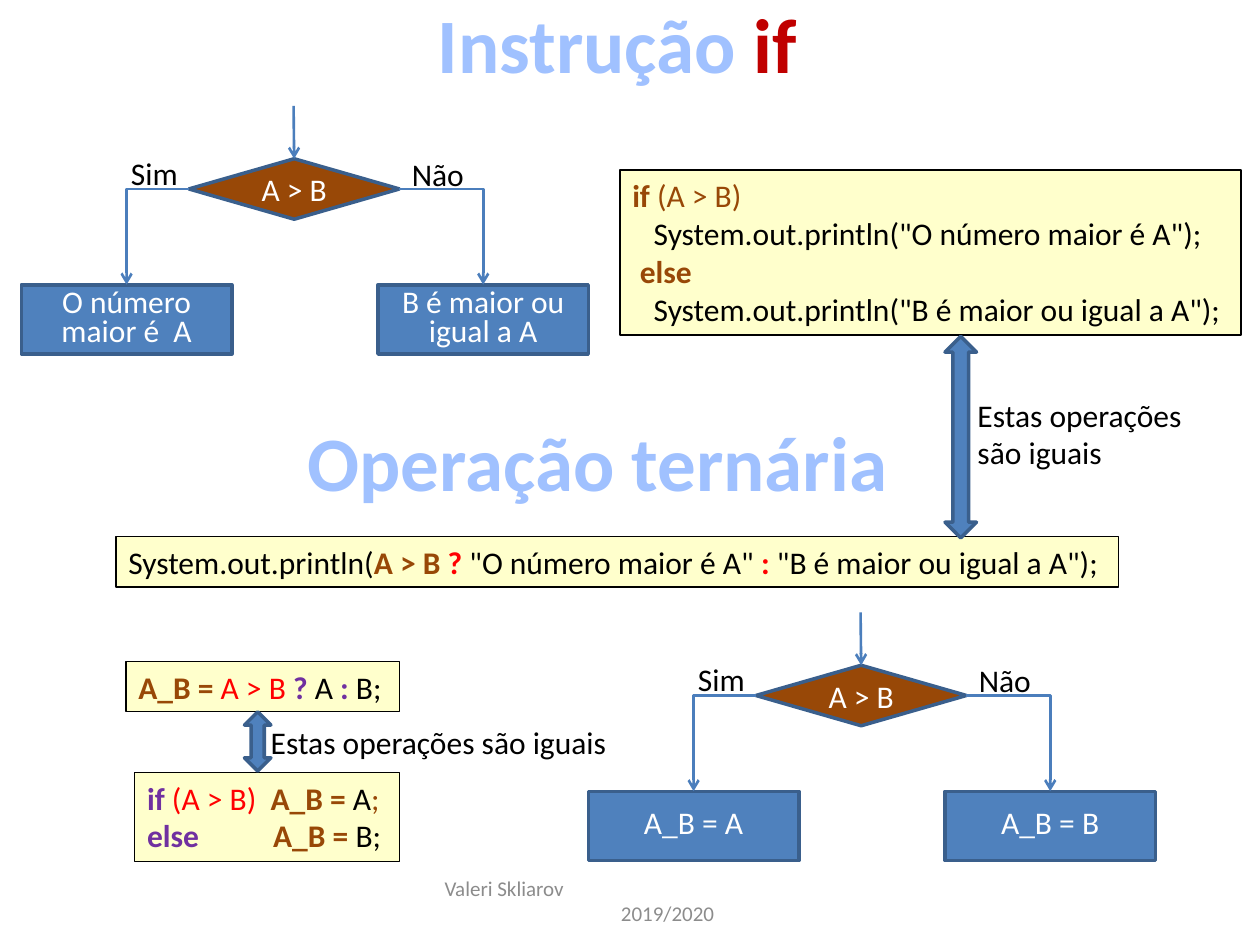
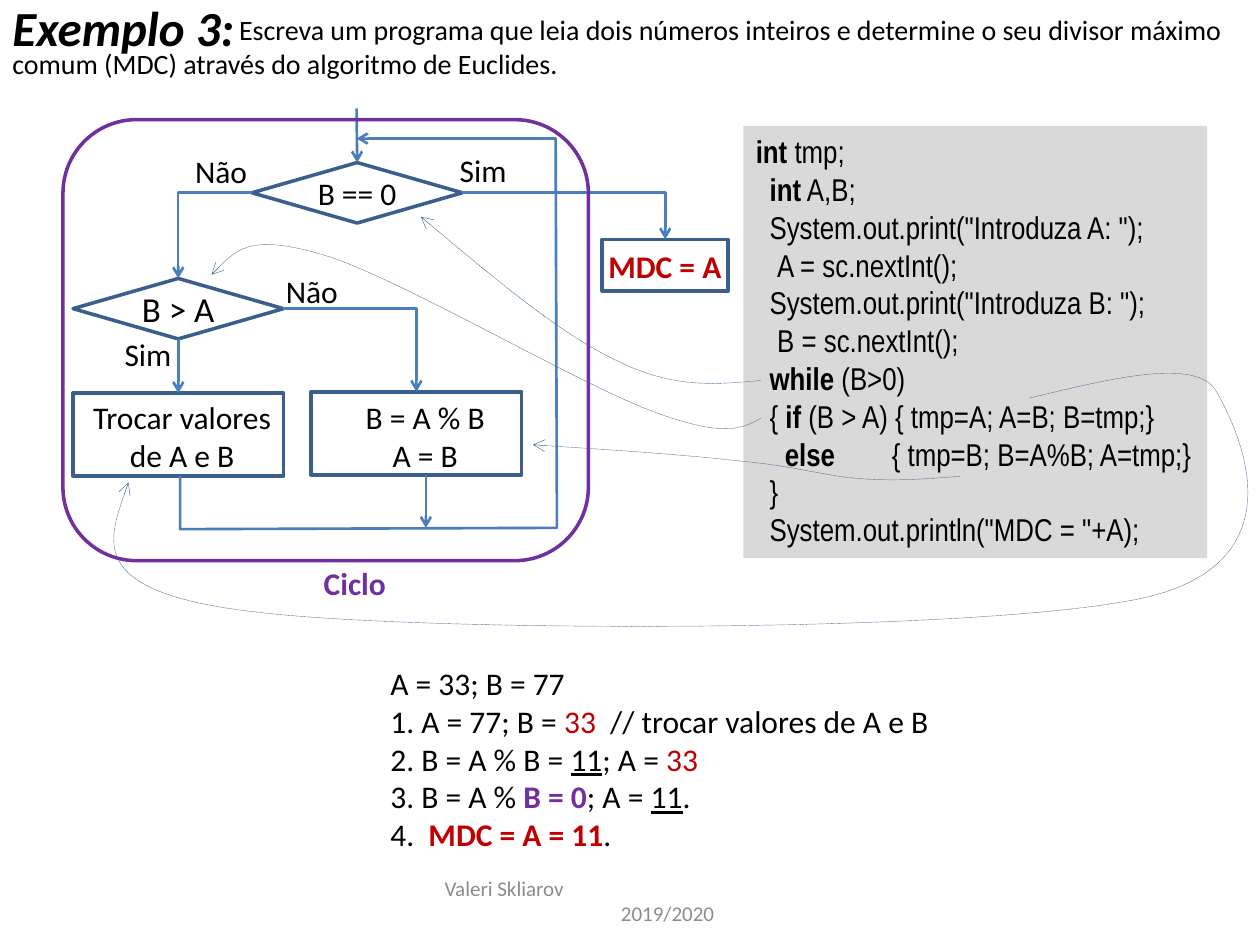
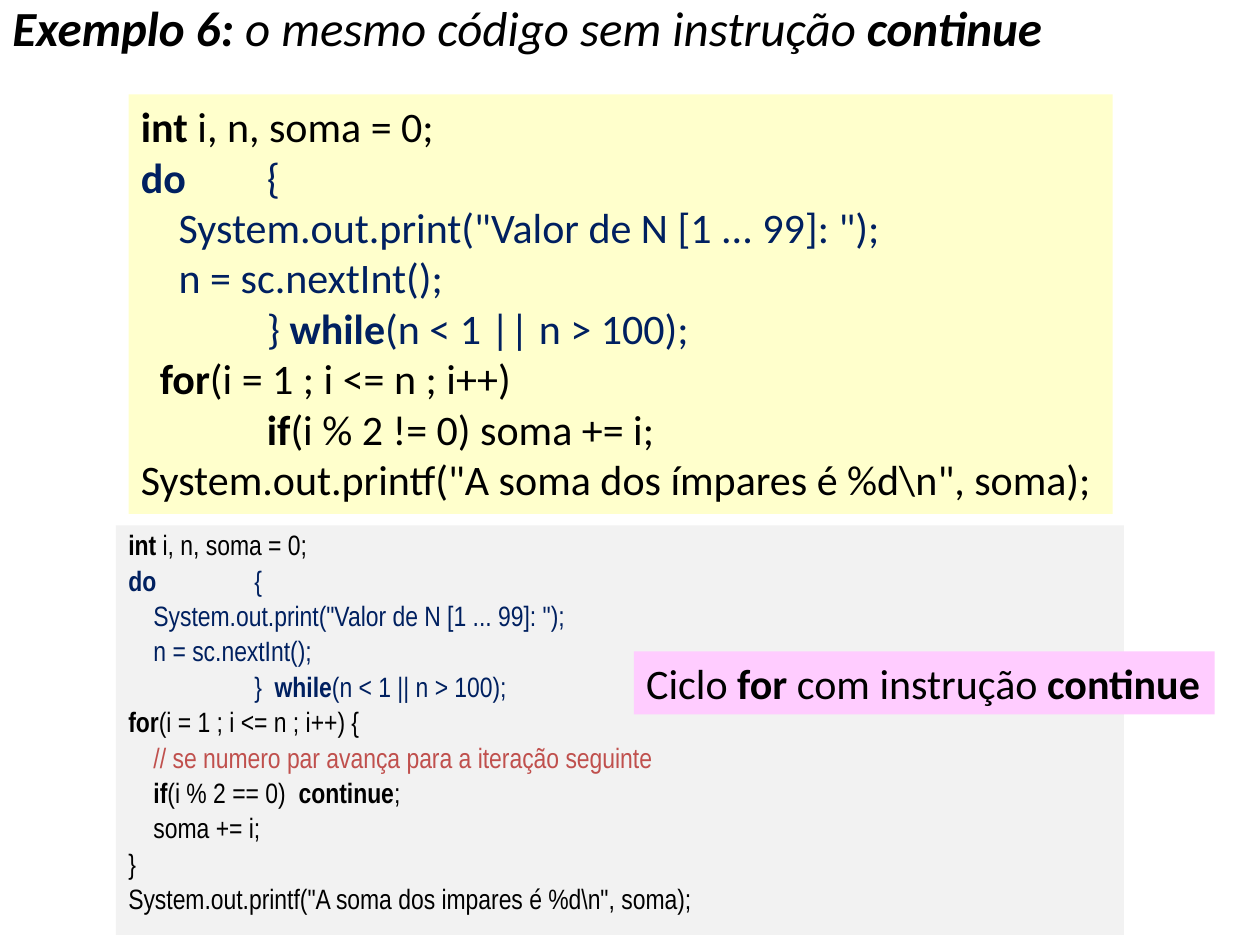
from dataclasses import dataclass, replace
from typing import Optional, Sequence

from lxml import etree
from pptx import Presentation
from pptx.dml.color import RGBColor
from pptx.enum.dml import MSO_LINE
from pptx.enum.shapes import MSO_CONNECTOR, MSO_SHAPE
from pptx.enum.text import MSO_ANCHOR, MSO_AUTO_SIZE, PP_ALIGN
from pptx.oxml.ns import qn
from pptx.util import Inches, Pt

RECTANGLE = MSO_SHAPE.RECTANGLE
ROUNDED = MSO_SHAPE.ROUNDED_RECTANGLE
DECISION = MSO_SHAPE.FLOWCHART_DECISION
DOUBLE_ARROW = MSO_SHAPE.UP_DOWN_ARROW
STRAIGHT = MSO_CONNECTOR.STRAIGHT
ELBOW = MSO_CONNECTOR.ELBOW
DOTTED = MSO_LINE.ROUND_DOT
LEFT, CENTER = PP_ALIGN.LEFT, PP_ALIGN.CENTER
TOP, MIDDLE = MSO_ANCHOR.TOP, MSO_ANCHOR.MIDDLE
TOP_SIDE, LEFT_SIDE, BOTTOM_SIDE, RIGHT_SIDE = range(4)


@dataclass(frozen=True)
class Theme:
    font: str = "Calibri"
    code_font: str = "Arial Narrow"
    black: RGBColor = RGBColor(0x00, 0x00, 0x00)
    white: RGBColor = RGBColor(0xFF, 0xFF, 0xFF)
    title: RGBColor = RGBColor(0xA0, 0xC1, 0xFF)
    footer: RGBColor = RGBColor(0x8C, 0x8C, 0x8C)
    brown: RGBColor = RGBColor(0x98, 0x48, 0x07)
    dark_red: RGBColor = RGBColor(0xC0, 0x00, 0x00)
    red: RGBColor = RGBColor(0xFF, 0x00, 0x00)
    purple: RGBColor = RGBColor(0x70, 0x30, 0xA0)
    navy: RGBColor = RGBColor(0x00, 0x20, 0x60)
    comment: RGBColor = RGBColor(0xC0, 0x50, 0x4D)
    blue: RGBColor = RGBColor(0x4F, 0x81, 0xBD)
    outline: RGBColor = RGBColor(0x3A, 0x5F, 0x8C)
    arrow: RGBColor = RGBColor(0x4B, 0x7E, 0xBC)
    yellow: RGBColor = RGBColor(0xFF, 0xFF, 0xCC)
    gray: RGBColor = RGBColor(0xD9, 0xD9, 0xD9)
    light_gray: RGBColor = RGBColor(0xF2, 0xF2, 0xF2)
    pink: RGBColor = RGBColor(0xFF, 0xCC, 0xFF)
    title_size: float = 44
    heading_size: float = 28
    large_size: float = 24
    decision_size: float = 20
    body_size: float = 18
    small_size: float = 16
    footer_size: float = 12
    outline_width: float = 2
    arrow_width: float = 1.5
    frame_width: float = 0.75
    pointer_width: float = 0.25


THEME = Theme()


@dataclass(frozen=True)
class Run:
    text: str
    color: RGBColor = THEME.black
    bold: bool = False
    italic: bool = False
    underline: bool = False


@dataclass(frozen=True)
class Line:
    """One paragraph; indent and tab are inches from the text edge."""
    runs: Sequence[Run]
    indent: float = 0
    tab: float = 0


@dataclass(frozen=True)
class TextStyle:
    size: float = THEME.body_size
    font: str = THEME.font
    align: PP_ALIGN = LEFT
    anchor: MSO_ANCHOR = TOP
    wrap: bool = False
    grow: bool = True
    line_points: Optional[float] = None
    before_points: float = 0


@dataclass(frozen=True)
class Box:
    left: float
    top: float
    width: float
    height: float

    def lengths(self) -> list:
        return [Inches(v) for v in (self.left, self.top, self.width, self.height)]


BODY = TextStyle()
WRAPPED = replace(BODY, wrap=True)
CENTERED = replace(WRAPPED, align=CENTER)
IN_SHAPE = replace(CENTERED, anchor=MIDDLE, grow=False)
PROCESS = replace(IN_SHAPE, line_points=17)
TITLE = replace(BODY, size=THEME.title_size, align=CENTER)
HEADING = replace(BODY, size=THEME.heading_size)
FOOTER = replace(WRAPPED, size=THEME.footer_size, anchor=MIDDLE, grow=False)
CODE = replace(BODY, font=THEME.code_font)
LARGE = replace(BODY, size=THEME.large_size)
SMALL_CODE = TextStyle(THEME.small_size, THEME.code_font, wrap=True, grow=False,
                       line_points=17, before_points=3.2)


def bold(text: str, color: RGBColor = THEME.black) -> Run:
    return Run(text, color, bold=True)


def plain(text: str, color: RGBColor = THEME.black, indent: float = 0) -> Line:
    return Line([Run(text, color)], indent)


def write(shape, lines: Sequence[Line], style: TextStyle) -> None:
    frame = shape.text_frame
    frame.word_wrap = style.wrap
    frame.auto_size = MSO_AUTO_SIZE.SHAPE_TO_FIT_TEXT if style.grow else MSO_AUTO_SIZE.NONE
    frame.vertical_anchor = style.anchor
    for index, line in enumerate(lines):
        paragraph = frame.add_paragraph() if index else frame.paragraphs[0]
        paragraph.alignment = style.align
        if style.line_points:
            paragraph.line_spacing = Pt(style.line_points)
            paragraph.space_before = Pt(style.before_points)
        if line.indent or line.tab:
            properties = paragraph._p.get_or_add_pPr()
            properties.set("marL", str(Inches(line.tab)))
            properties.set("indent", str(Inches(line.indent - line.tab)))
        for part in line.runs:
            run = paragraph.add_run()
            run.text = part.text
            font = run.font
            font.name, font.size = style.font, Pt(style.size)
            font.bold, font.italic, font.underline = part.bold, part.italic, part.underline
            font.color.rgb = part.color


def add_text(slide, box: Box, lines: Sequence[Line], style: TextStyle = BODY) -> None:
    write(slide.shapes.add_textbox(*box.lengths()), lines, style)


def add_box(slide, box: Box, kind=RECTANGLE, fill: Optional[RGBColor] = None,
            line: Optional[RGBColor] = THEME.outline, width: float = THEME.outline_width,
            lines: Sequence[Line] = (), style: TextStyle = IN_SHAPE):
    shape = slide.shapes.add_shape(kind, *box.lengths())
    shape.shadow.inherit = False
    if fill is None:
        shape.fill.background()
    else:
        shape.fill.solid()
        shape.fill.fore_color.rgb = fill
    if line is None:
        shape.line.fill.background()
    else:
        shape.line.color.rgb = line
        shape.line.width = Pt(width)
    if lines:
        write(shape, lines, style)
    return shape


def add_framed_code(slide, box: Box, lines: Sequence[Line]) -> None:
    add_box(slide, box, fill=THEME.yellow, line=THEME.black,
            width=THEME.frame_width, lines=lines, style=BODY)


def style_arrow(shape, color: RGBColor, width: float, dash=None) -> None:
    shape.line.color.rgb = color
    shape.line.width = Pt(width)
    if dash is not None:
        shape.line.dash_style = dash
    etree.SubElement(shape.line._get_or_add_ln(), qn("a:tailEnd"), type="arrow")


def add_arrow(slide, start: tuple, end: tuple, kind=STRAIGHT) -> None:
    """Join points (x, y) or shape sides (shape, side)."""
    joined = [not isinstance(place[0], (int, float)) for place in (start, end)]
    begin_point = (0, 0) if joined[0] else start
    end_point = (0, 0) if joined[1] else end
    connector = slide.shapes.add_connector(
        kind, *[Inches(v) for v in (*begin_point, *end_point)])
    if joined[0]:
        connector.begin_connect(*start)
    if joined[1]:
        connector.end_connect(*end)
    properties = connector._element.spPr
    if kind == ELBOW:
        properties.find(qn("a:prstGeom")).set("prst", "bentConnector2")
    style_arrow(connector, THEME.arrow, THEME.arrow_width)
    etree.SubElement(properties, qn("a:effectLst"))


def add_open_path(slide, points: Sequence[tuple], color: RGBColor, width: float, dash=None):
    corners = [(Inches(x), Inches(y)) for x, y in points]
    builder = slide.shapes.build_freeform(*corners[0])
    builder.add_line_segments(corners[1:], close=False)
    shape = builder.convert_to_shape()
    shape.shadow.inherit = False
    shape.fill.background()
    style_arrow(shape, color, width, dash)
    return shape


def bezier_points(controls: Sequence[tuple], steps: int = 24) -> list:
    """Points along a chain of cubic curves that share their end points."""
    points = [controls[0]]
    for first in range(0, len(controls) - 1, 3):
        curve = controls[first:first + 4]
        for step in range(1, steps + 1):
            t = step / steps
            weights = ((1 - t) ** 3, 3 * t * (1 - t) ** 2, 3 * t * t * (1 - t), t ** 3)
            points.append(tuple(sum(w * point[axis] for w, point in zip(weights, curve))
                                for axis in (0, 1)))
    return points


def add_pointer(slide, controls: Sequence[tuple]) -> None:
    """Dotted curved arrow: its bounds come from points, its outline from cubics."""
    shape = add_open_path(slide, bezier_points(controls), THEME.outline,
                          THEME.pointer_width, DOTTED)
    outline = next(shape._element.iter(qn("a:path")))
    for segment in outline.findall(qn("a:lnTo")):
        outline.remove(segment)
    for first in range(1, len(controls), 3):
        cubic = etree.SubElement(outline, qn("a:cubicBezTo"))
        for x, y in controls[first:first + 3]:
            etree.SubElement(cubic, qn("a:pt"), x=str(Inches(x) - shape.left),
                             y=str(Inches(y) - shape.top))


def add_label(slide, left: float, top: float, text: str) -> None:
    add_text(slide, Box(left, top, 0.58 if text == "Sim" else 0.62, 0.4), [plain(text)])


def add_decision(slide, left: float, top: float, text: str, fill: Optional[RGBColor] = None,
                 color: RGBColor = THEME.black, size: float = THEME.body_size):
    return add_box(slide, Box(left, top, 1.67, 0.48), DECISION, fill,
                   lines=[plain(text, color)], style=replace(IN_SHAPE, size=size))


def add_branch(slide, left: float, top: float, yes_text: str, no_text: str) -> None:
    """Decision A > B at (left, top) with an entry arrow and two outcomes."""
    decision = add_decision(slide, left, top, "A > B", THEME.brown, THEME.white)
    add_arrow(slide, (left + 0.83, top - 0.42), (decision, TOP_SIDE))
    for text, offset, side in ((yes_text, -1.33, LEFT_SIDE), (no_text, 1.5, RIGHT_SIDE)):
        outcome = add_box(slide, Box(left + offset, top + 1, 1.67, 0.55), fill=THEME.blue,
                          lines=[plain(text, THEME.white)], style=PROCESS)
        add_arrow(slide, (decision, side), (outcome, TOP_SIDE), ELBOW)
    add_label(slide, left - 0.56, top - 0.09, "Sim")
    add_label(slide, left + 1.67, top - 0.08, "Não")


def add_footer(slide) -> None:
    add_text(slide, Box(3.43, 6.95, 3.17, 0.4),
             [plain("Valeri Skliarov", THEME.footer),
              plain("2019/2020", THEME.footer, indent=1.4)], FOOTER)


def add_heading(slide, width: float, runs: Sequence[Run]) -> None:
    add_text(slide, Box(0, -0.07, width, 0.57), [Line(runs)], HEADING)


def build_if_slide(slide) -> None:
    brown, red, purple = THEME.brown, THEME.red, THEME.purple
    add_footer(slide)
    add_text(slide, Box(3.36, -0.08, 3.08, 0.84),
             [Line([bold("Instrução ", THEME.title), bold("if", THEME.dark_red)])], TITLE)
    add_text(slide, Box(2.32, 3.24, 4.85, 0.84),
             [Line([bold("Operação ternária", THEME.title)])], TITLE)
    add_framed_code(slide, Box(4.92, 1.35, 4.93, 1.31), [
        Line([bold("if", brown), Run(" (A > B)", brown)]),
        plain('System.out.println("O número maior é A");', indent=0.17),
        Line([bold("else", brown)], indent=0.06),
        plain('System.out.println("B é maior ou igual a A");', indent=0.17),
    ])
    add_framed_code(slide, Box(0.92, 4.26, 7.96, 0.4), [Line([
        Run("System.out.println("), bold("A > B ", brown), bold("?", red),
        Run(' "O número maior é A" '), bold(":", red),
        Run(' "B é maior ou igual a A");')])])
    add_framed_code(slide, Box(1, 5.25, 2.17, 0.4), [Line([
        bold("A_B = ", brown), Run("A > B ", red), bold("?", purple), Run(" A "),
        bold(":", purple), Run(" B;")])])
    add_framed_code(slide, Box(1.07, 6.13, 2.1, 0.71), [
        Line([bold("if", purple), Run(" (A > B)  ", red), bold("A_B = ", brown),
              Run("A"), Run(";", brown)]),
        Line([bold("else\t", purple), bold("A_B = ", brown), Run("B;")], tab=1),
    ])
    add_branch(slide, 1.5, 1.26, "O número maior é  A", "B é maior ou igual a A")
    add_branch(slide, 6, 5.28, "A_B = A", "A_B = B")
    for box in (Box(1.94, 5.65, 0.21, 0.47), Box(7.5, 2.67, 0.25, 1.6)):
        add_box(slide, box, DOUBLE_ARROW, THEME.blue)
    equal = [plain("Estas operações são iguais")]
    add_text(slide, Box(2.05, 5.69, 2.89, 0.4), equal)
    add_text(slide, Box(7.66, 3.09, 1.86, 0.67), equal, WRAPPED)


def build_euclid_slide(slide) -> None:
    dark_red, purple = THEME.dark_red, THEME.purple
    add_footer(slide)
    add_heading(slide, 1.98, [Run("Exemplo 3:", bold=True, italic=True)])
    add_text(slide, Box(0, 0.05, 10, 0.64), [plain(
        "Escreva um programa que leia dois números inteiros e determine o seu divisor "
        "máximo comum (MDC) através do algoritmo de Euclides.", indent=1.8)],
        replace(WRAPPED, size=THEME.small_size))
    add_box(slide, Box(5.9, 1, 3.68, 3.43), fill=THEME.gray, line=None, style=CODE, lines=[
        Line([bold("int "), Run("tmp;")]),
        Line([bold("int"), Run(" A,B;")], 0.11),
        plain('System.out.print("Introduza A: ");', indent=0.11),
        plain("A = sc.nextInt();", indent=0.17),
        plain('System.out.print("Introduza B: ");', indent=0.11),
        plain("B = sc.nextInt();", indent=0.17),
        Line([bold("while"), Run(" (B>0)")], 0.11),
        Line([Run("{ "), bold("if"), Run(" (B > A) { tmp=A; A=B; B=tmp;}")], 0.11),
        Line([bold("else"), Run("\t{ tmp=B; B=A%B; A=tmp;}")], 0.23, tab=1.08),
        plain("}", indent=0.11),
        plain('System.out.println("MDC = "+A);', indent=0.11),
    ])

    remainder = add_box(slide, Box(2.47, 3.11, 1.67, 0.66), fill=THEME.white)
    swap = add_box(slide, Box(0.58, 3.12, 1.67, 0.66))
    result = add_box(slide, Box(4.78, 1.9, 1, 0.41), fill=THEME.white)
    add_text(slide, Box(2.5, 3.11, 1.75, 0.71), [plain("B = A % B"), plain("A = B")], CENTERED)
    add_text(slide, Box(0.57, 3.11, 1.75, 0.71), [plain("Trocar valores de A e B")], CENTERED)
    add_text(slide, Box(4.73, 1.91, 1.11, 0.4), [Line([bold("MDC = A", dark_red)])])
    is_zero = add_decision(slide, 2, 1.29, "B == 0")
    is_greater = add_decision(slide, 0.58, 2.21, "B > A", size=THEME.decision_size)

    add_arrow(slide, (2.83, 0.86), (is_zero, TOP_SIDE))
    add_arrow(slide, (is_greater, BOTTOM_SIDE), (swap, TOP_SIDE))
    add_arrow(slide, (3.38, 3.77), (3.38, 4.19))
    for decision, side, target in ((is_zero, LEFT_SIDE, is_greater),
                                   (is_zero, RIGHT_SIDE, result),
                                   (is_greater, RIGHT_SIDE, remainder)):
        add_arrow(slide, (decision, side), (target, TOP_SIDE), ELBOW)
    loop_back = [(1.43, 3.78), (1.43, 4.2), (4.42, 4.19), (4.41, 1.1), (2.83, 1.1)]
    add_open_path(slide, loop_back, THEME.arrow, THEME.arrow_width)
    for left, top, text in ((0.89, 2.61, "Sim"), (2.17, 2.11, "Não"),
                            (1.45, 1.16, "Não"), (3.55, 1.15, "Sim")):
        add_label(slide, left, top, text)
    add_box(slide, Box(0.5, 0.95, 4.17, 3.5), ROUNDED, line=purple)
    add_text(slide, Box(2.47, 4.43, 0.72, 0.4), [Line([bold("Ciclo", purple)])])

    code_pointers = (
        [(6.04, 3.02), (5.7, 3.05), (5.36, 3.09), (4.91, 2.87),
         (4.46, 2.66), (3.9, 2.19), (3.34, 1.72)],
        [(6.04, 3.32), (5.89, 3.4), (5.75, 3.48), (5.17, 3.26), (4.6, 3.05),
         (3.17, 2.21), (2.59, 2.03), (2, 1.85), (1.84, 2.01), (1.68, 2.18)],
        [(8.17, 3.16), (8.83, 3), (9.49, 2.84), (9.65, 3.1), (9.8, 3.36),
         (10.36, 4.44), (9.1, 4.74), (7.83, 5.03), (3.4, 5.02), (2.05, 4.86),
         (0.71, 4.71), (0.86, 4.27), (1.02, 3.83)],
        [(7.62, 3.78), (7.37, 3.8), (7.13, 3.82), (6.84, 3.8), (6.55, 3.78),
         (6.32, 3.7), (5.88, 3.66), (5.45, 3.61), (4.84, 3.57), (4.23, 3.53)],
    )
    for controls in code_pointers:
        add_pointer(slide, controls)

    eleven = Run("11", underline=True)
    add_text(slide, Box(3, 5.22, 4.53, 1.62), [
        plain("A = 33; B = 77"),
        Line([Run("1. A = 77; B = "), Run("33 ", dark_red),
              Run(" // trocar valores de A e B")]),
        Line([Run("2. B = A % B = "), eleven, Run("; A = "), Run("33", dark_red)]),
        Line([Run("3. B = A % "), bold("B = 0", purple), Run("; A = "), eleven, Run(".")]),
        Line([Run("4.  "), bold("MDC = A = 11", dark_red), Run(".")]),
    ])


def build_continue_slide(slide) -> None:
    navy = THEME.navy

    def reading_loop(indent: float, gap: str) -> list:
        """Opening lines that both listings share."""
        return [
            Line([bold("int"), Run(" i, n, soma = 0;")]),
            Line([bold("do\t", navy), Run("{", navy)], tab=1),
            plain('System.out.print("Valor de N [1 ... 99]: ");', navy, indent),
            plain("n = sc.nextInt();", navy, indent),
            Line([Run("}" + gap, navy), bold("while", navy),
                  Run("(n < 1 || n > 100);", navy)], 1),
        ]

    add_box(slide, Box(1.02, 0.75, 7.81, 3.33), fill=THEME.yellow, line=None, style=LARGE,
            lines=reading_loop(0.3, " ") + [
                Line([bold("for"), Run("(i = 1 ; i <= n ; i++)")], 0.15),
                Line([bold("if"), Run("(i % 2 != 0) soma += i;")], 1),
                plain('System.out.printf("A soma dos ímpares é %d\\n", soma);'),
            ])
    add_heading(slide, 8.57, [Run("Exemplo 6:", bold=True, italic=True),
                              Run(" o mesmo código sem instrução ", italic=True),
                              Run("continue", bold=True, italic=True)])
    add_box(slide, Box(0.92, 4.17, 8, 3.25), fill=THEME.light_gray, line=None,
            style=SMALL_CODE, lines=reading_loop(0.2, "  ") + [
                Line([bold("for"), Run("(i = 1 ; i <= n ; i++) {")]),
                plain("// se numero par avança para a iteração seguinte", THEME.comment, 0.2),
                Line([bold("if"), Run("(i % 2 == 0)  "), bold("continue"), Run(";")], 0.2),
                plain("soma += i;", indent=0.2),
                plain("}"),
                plain('System.out.printf("A soma dos impares é %d\\n", soma);'),
            ])
    add_box(slide, Box(5.03, 5.17, 4.61, 0.5), fill=THEME.pink, line=None, style=LARGE,
            lines=[Line([Run("Ciclo "), bold("for"), Run(" com instrução "),
                         bold("continue")])])


def main() -> None:
    presentation = Presentation()
    presentation.slide_width, presentation.slide_height = Inches(10), Inches(7.5)
    blank = presentation.slide_layouts[6]
    for build in (build_if_slide, build_euclid_slide, build_continue_slide):
        build(presentation.slides.add_slide(blank))
    presentation.save("out.pptx")


if __name__ == "__main__":
    main()
